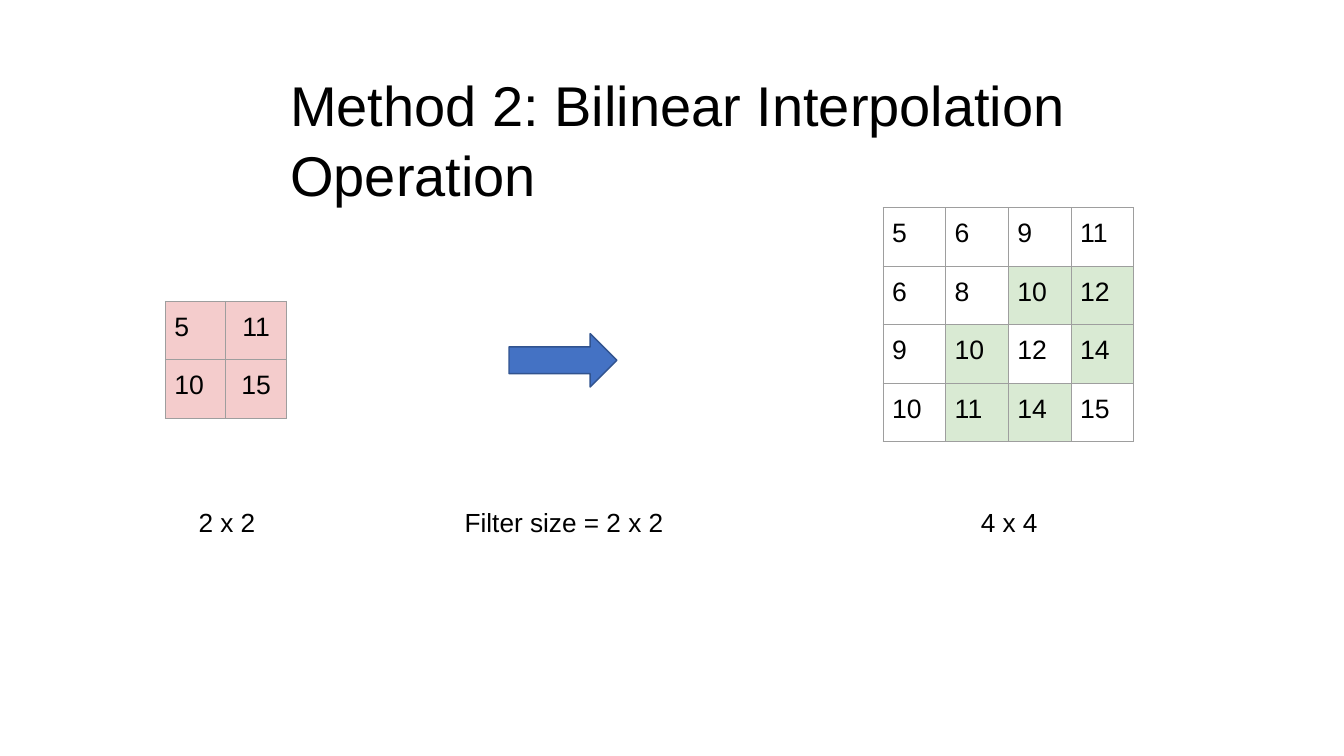
from dataclasses import dataclass

from lxml import etree
from pptx import Presentation
from pptx.dml.color import RGBColor
from pptx.enum.shapes import MSO_SHAPE
from pptx.enum.text import MSO_ANCHOR, PP_ALIGN
from pptx.oxml.ns import qn
from pptx.util import Emu, Inches, Pt

ARROW = MSO_SHAPE.RIGHT_ARROW
TOP, MIDDLE = MSO_ANCHOR.TOP, MSO_ANCHOR.MIDDLE
LEFT, CENTER = PP_ALIGN.LEFT, PP_ALIGN.CENTER

# The grid has square cells, ten to the inch
GRID_COLS, GRID_ROWS = 133.33, 75
CELL = Inches(0.1)

FONT = "Arial"
BLACK, BORDER = "000000", "9E9E9E"
PINK, GREEN = "F4CCCC", "D9EAD3"
BLUE, DARK_BLUE = "4472C4", "31538F"


@dataclass
class Matrix:
    left: float
    top: float
    cell_width: float
    values: list[list[int]]
    fill: str
    filled: set[tuple[int, int]]
    centered_cols: set[int]


@dataclass
class Label:
    text: str
    left: float
    top: float
    width: float
    height: float
    size: float = 18.7
    anchor: MSO_ANCHOR = TOP
    inset_top: float = 0.2
    line_spacing: float = 1.0


CELL_HEIGHT = 5.8
CAPTION_TOP, CAPTION_HEIGHT = 50, 3.3

MATRICES = [
    Matrix(16.4, 29.9, 6, [[5, 11], [10, 15]], PINK,
           {(0, 0), (0, 1), (1, 0), (1, 1)}, {1}),
    Matrix(87.6, 20.6, 6.22,
           [[5, 6, 9, 11], [6, 8, 10, 12], [9, 10, 12, 14], [10, 11, 14, 15]],
           GREEN, {(1, 2), (1, 3), (2, 1), (2, 3), (3, 1), (3, 2)}, set()),
]

LABELS = [
    Label("Method 2: Bilinear Interpolation Operation", 28.8, 5.8, 94.7, 14.6,
          size=40, anchor=MIDDLE, inset_top=1.1, line_spacing=1.05),
    Label("2 x 2", 19.7, CAPTION_TOP, 7, CAPTION_HEIGHT),
    Label("Filter size = 2 x 2", 46.1, CAPTION_TOP, 21, CAPTION_HEIGHT),
    Label("4 x 4", 97.3, CAPTION_TOP, 7, CAPTION_HEIGHT),
]


def grid(cells: float) -> Emu:
    return Emu(round(cells * CELL))


def color(value: str) -> RGBColor:
    return RGBColor.from_string(value)


def add_run(paragraph, text: str, size: float) -> None:
    run = paragraph.add_run()
    run.text = text
    run.font.name = FONT
    run.font.size = Pt(size)
    run.font.color.rgb = color(BLACK)


def add_borders(cell) -> None:
    properties = cell._tc.get_or_add_tcPr()
    for position, side in enumerate(("lnL", "lnR", "lnT", "lnB")):
        line = etree.Element(qn(f"a:{side}"), w=str(Pt(0.75)))
        fill = etree.SubElement(line, qn("a:solidFill"))
        etree.SubElement(fill, qn("a:srgbClr"), val=BORDER)
        properties.insert(position, line)


def draw_matrix(slide, matrix: Matrix) -> None:
    rows, cols = len(matrix.values), len(matrix.values[0])
    table = slide.shapes.add_table(
        rows, cols, grid(matrix.left), grid(matrix.top),
        grid(cols * matrix.cell_width), grid(rows * CELL_HEIGHT)).table
    table.first_row = table.horz_banding = False
    for column in table.columns:
        column.width = grid(matrix.cell_width)
    for row in table.rows:
        row.height = grid(CELL_HEIGHT)
    for r, row_values in enumerate(matrix.values):
        for c, value in enumerate(row_values):
            cell = table.cell(r, c)
            centered = c in matrix.centered_cols
            cell.margin_left = grid(0 if centered else 0.9)
            cell.margin_right = cell.margin_bottom = 0
            cell.margin_top = grid(1.1)
            if (r, c) in matrix.filled:
                cell.fill.solid()
                cell.fill.fore_color.rgb = color(matrix.fill)
            else:
                cell.fill.background()
            add_borders(cell)
            paragraph = cell.text_frame.paragraphs[0]
            paragraph.alignment = CENTER if centered else LEFT
            add_run(paragraph, str(value), 19)


def draw_label(slide, label: Label) -> None:
    frame = slide.shapes.add_textbox(
        grid(label.left), grid(label.top),
        grid(label.width), grid(label.height)).text_frame
    frame.word_wrap = True
    frame.vertical_anchor = label.anchor
    frame.margin_left = frame.margin_right = frame.margin_bottom = 0
    frame.margin_top = grid(label.inset_top)
    paragraph = frame.paragraphs[0]
    paragraph.line_spacing = label.line_spacing
    add_run(paragraph, label.text, label.size)


def draw_arrow(slide) -> None:
    arrow = slide.shapes.add_shape(
        ARROW, grid(50.5), grid(33.1), grid(10.7), grid(5.3))
    arrow.shadow.inherit = False
    arrow.fill.solid()
    arrow.fill.fore_color.rgb = color(BLUE)
    arrow.line.color.rgb = color(DARK_BLUE)
    arrow.line.width = Pt(1)


def main() -> None:
    deck = Presentation()
    deck.slide_width, deck.slide_height = grid(GRID_COLS), grid(GRID_ROWS)
    slide = deck.slides.add_slide(deck.slide_layouts[6])

    # Input and output matrices
    for matrix in MATRICES:
        draw_matrix(slide, matrix)

    # Upsampling step
    draw_arrow(slide)

    # Title and captions
    for label in LABELS:
        draw_label(slide, label)

    deck.save("out.pptx")


if __name__ == "__main__":
    main()
